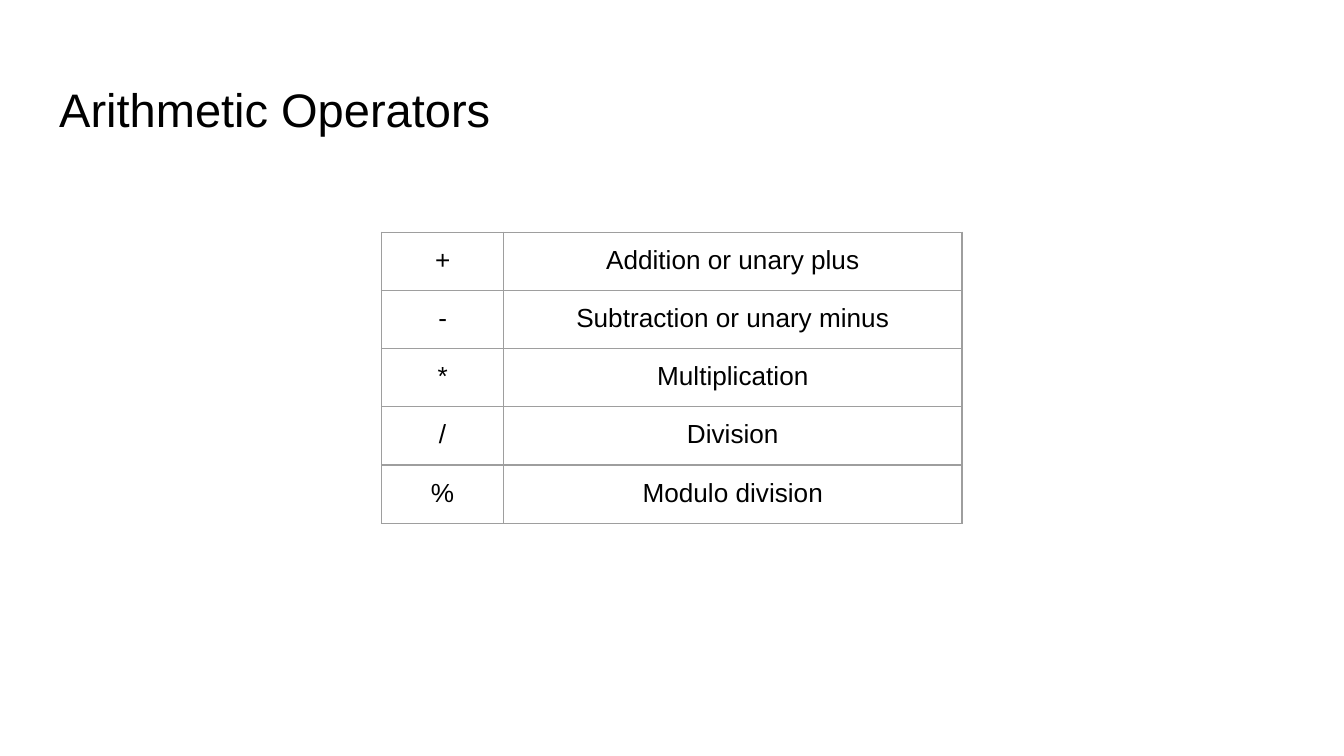
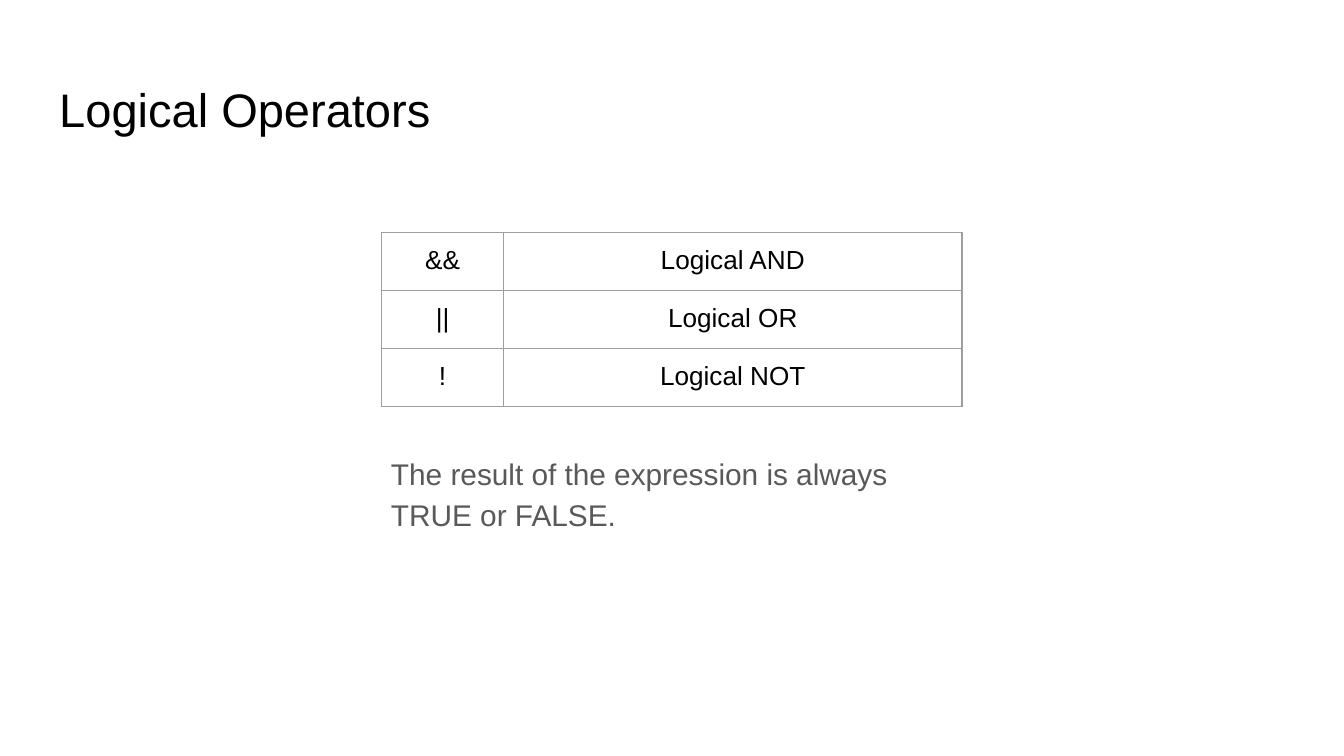
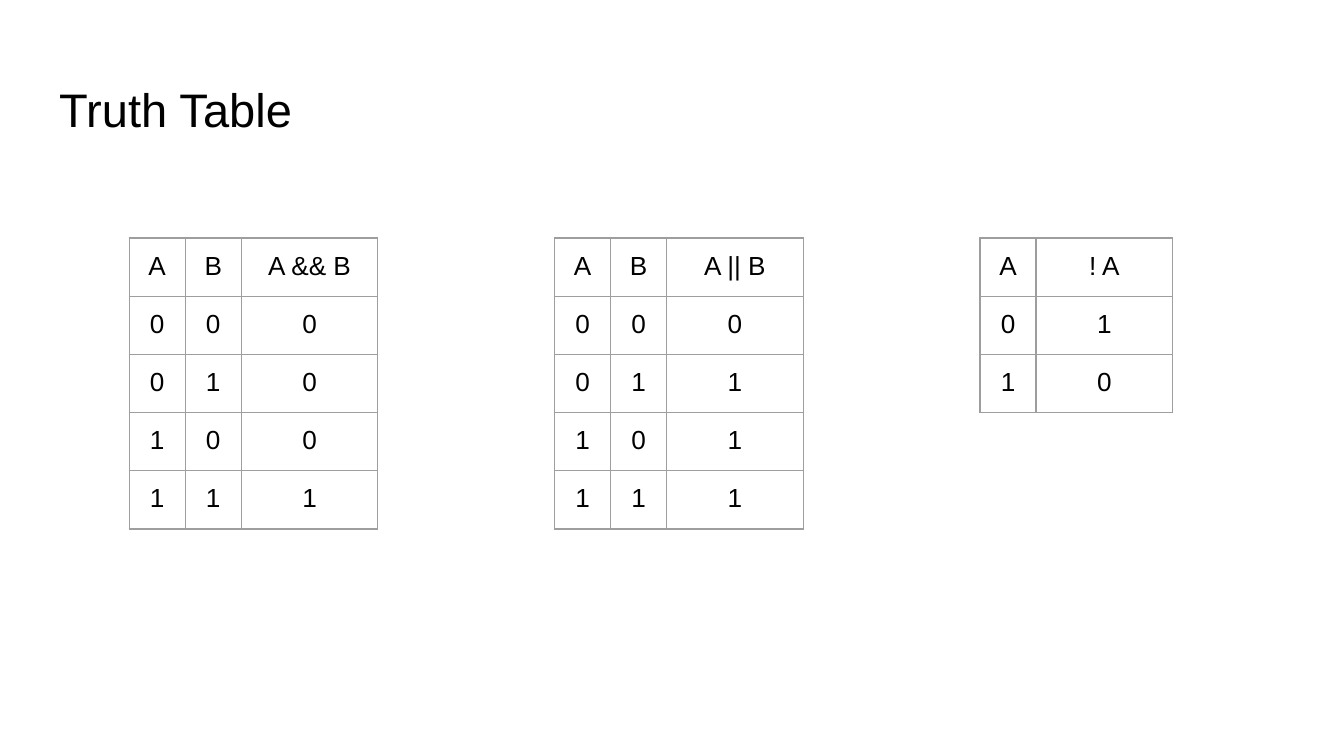
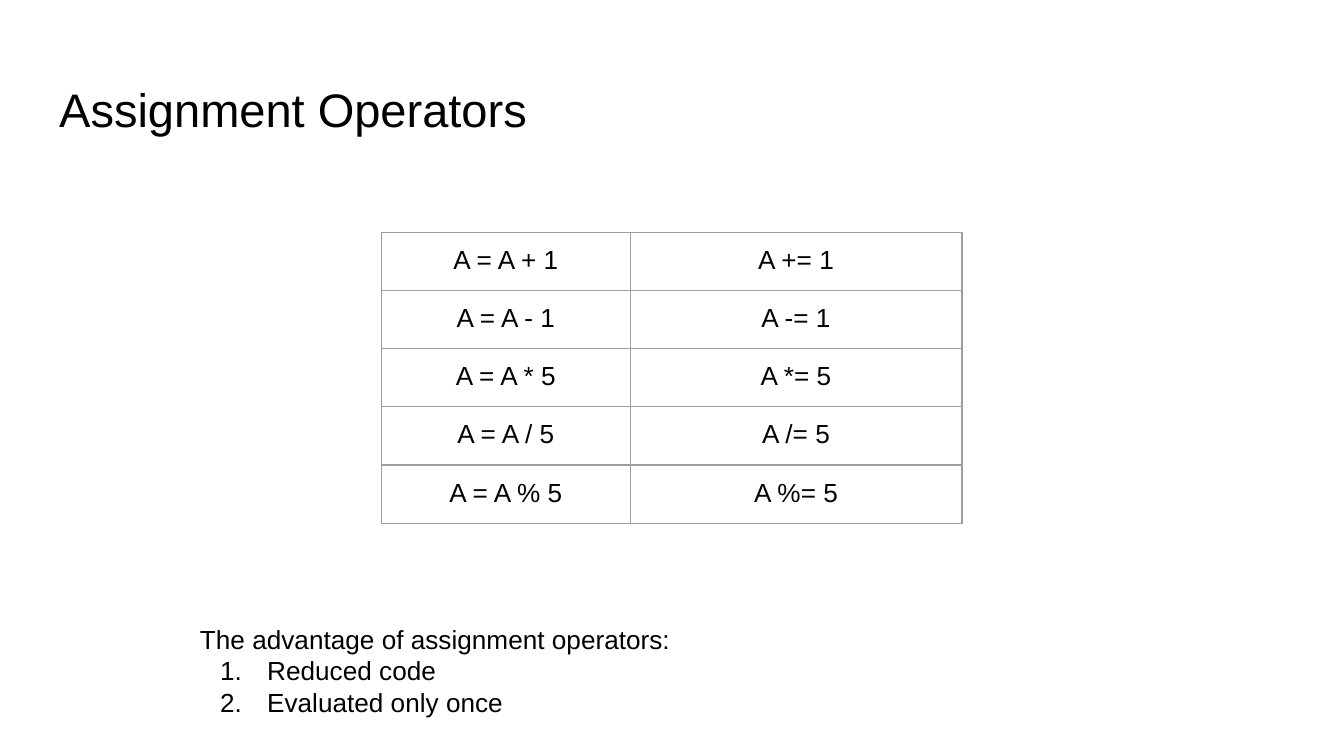
"""Build four slides on arithmetic, logical and assignment operators."""
from dataclasses import dataclass

from lxml.etree import SubElement
from pptx import Presentation
from pptx.dml.color import RGBColor as Color
from pptx.enum.text import MSO_ANCHOR as Anchor, MSO_AUTO_SIZE as AutoSize, PP_ALIGN as Align
from pptx.oxml.ns import qn
from pptx.util import Cm, Pt


@dataclass(frozen=True)
class Theme:
    font: str = "Arial"
    ink: str = "000000"
    muted: str = "595959"
    border: str = "9E9E9E"
    background: str = "FFFFFF"
    title_size: float = 25.2
    note_size: float = 16
    body_size: float = 14
    border_width: float = 0.75


THEME = Theme()
INSET = Cm(0.25)
ROW_HEIGHT = 1.1
TABLE_LEFT, TABLE_TOP = 7.21, 4.39
TRUTH_LEFT, TRUTH_TOP, TRUTH_PITCH = 2.44, 4.5, 8.04
INPUT_WIDTH, RESULT_WIDTH = 1.06, 2.58
OPERATOR_COLUMNS = (2.31, 8.66)
ASSIGNMENT_COLUMNS = (4.7, 6.27)
TITLE_BOX = (0.87, 1.24, 23.67, 1.59)
NOTE_BOX = (7.14, 8.26, 11.1, 9.5)
ADVANTAGE_BOX = (3.53, 11.53, 13.06, 2.31)

ARITHMETIC = [
    ("+", "Addition or unary plus"),
    ("-", "Subtraction or unary minus"),
    ("*", "Multiplication"),
    ("/", "Division"),
    ("%", "Modulo division"),
]
LOGICAL = [("&&", "Logical AND"), ("||", "Logical OR"), ("!", "Logical NOT")]
LOGICAL_NOTE = "The result of the expression is always TRUE or FALSE."
INPUT_PAIRS = [(0, 0), (0, 1), (1, 0), (1, 1)]
TRUTH_TABLES = [
    [("A", "B", "A && B")] + [(a, b, a & b) for a, b in INPUT_PAIRS],
    [("A", "B", "A || B")] + [(a, b, a | b) for a, b in INPUT_PAIRS],
    [("A", "! A")] + [(a, 1 - a) for a in (0, 1)],
]
ASSIGNMENTS = [
    (f"A = A {operator} {value}", f"A {operator}= {value}")
    for operator, value in [("+", 1), ("-", 1), ("*", 5), ("/", 5), ("%", 5)]
]
ADVANTAGE_LEAD = "The advantage of assignment operators:"
ADVANTAGES = ["Reduced code", "Evaluated only once"]


def apply(target, values):
    for name, value in values.items():
        setattr(target, name, value)


def write(paragraph, text, size=THEME.body_size, color=THEME.ink, **paragraph_format):
    apply(paragraph, paragraph_format)
    run = paragraph.add_run()
    run.text = str(text)
    apply(run.font, {"name": THEME.font, "size": Pt(size)})
    run.font.color.rgb = Color.from_string(color)


def add_solid_fill(parent, tag, color):
    SubElement(SubElement(parent, qn(tag)), qn("a:srgbClr"), val=color)


def number(paragraph):
    properties = paragraph._p.get_or_add_pPr()
    apply_indent = {"marL": Cm(1.27), "indent": Cm(-0.89)}
    for name, value in apply_indent.items():
        properties.set(name, str(value))
    add_solid_fill(properties, "a:buClr", THEME.ink)
    SubElement(properties, qn("a:buFont"), typeface=THEME.font)
    SubElement(properties, qn("a:buAutoNum"), type="arabicPeriod")


def add_text_box(slide, box, **frame_format):
    frame = slide.shapes.add_textbox(*map(Cm, box)).text_frame
    margins = {f"margin_{side}": INSET for side in ("left", "top", "right", "bottom")}
    apply(frame, {"word_wrap": True, **margins, **frame_format})
    return frame


def format_cell(cell):
    apply(cell, {f"margin_{side}": INSET for side in ("left", "top", "right", "bottom")})
    properties = cell._tc.get_or_add_tcPr()
    for side in "LRTB":
        line = SubElement(properties, qn(f"a:ln{side}"), w=str(Pt(THEME.border_width)))
        add_solid_fill(line, "a:solidFill", THEME.border)
    cell.fill.background()


def add_grid(slide, rows, left, top, widths):
    size = map(Cm, (left, top, sum(widths), ROW_HEIGHT * len(rows)))
    table = slide.shapes.add_table(len(rows), len(widths), *size).table
    apply(table, {"first_row": False, "horz_banding": False})
    for column, width in zip(table.columns, widths):
        column.width = Cm(width)
    for row, values in zip(table.rows, rows):
        row.height = Cm(ROW_HEIGHT)
        for cell, value in zip(row.cells, values):
            format_cell(cell)
            write(cell.text_frame.paragraphs[0], value, alignment=Align.CENTER)


def add_slide(presentation, title):
    slide = presentation.slides.add_slide(presentation.slide_layouts[6])
    fill = slide.background.fill
    fill.solid()
    fill.fore_color.rgb = Color.from_string(THEME.background)
    frame = add_text_box(slide, TITLE_BOX, vertical_anchor=Anchor.BOTTOM)
    write(frame.paragraphs[0], title, THEME.title_size)
    return slide


def main():
    presentation = Presentation()
    apply(presentation, {"slide_width": Cm(25.4), "slide_height": Cm(14.29)})

    slide = add_slide(presentation, "Arithmetic Operators")
    add_grid(slide, ARITHMETIC, TABLE_LEFT, TABLE_TOP, OPERATOR_COLUMNS)

    slide = add_slide(presentation, "Logical Operators")
    add_grid(slide, LOGICAL, TABLE_LEFT, TABLE_TOP, OPERATOR_COLUMNS)
    note = add_text_box(slide, NOTE_BOX)
    write(note.paragraphs[0], LOGICAL_NOTE, THEME.note_size, THEME.muted, line_spacing=1.15)

    slide = add_slide(presentation, "Truth Table")
    for index, rows in enumerate(TRUTH_TABLES):
        widths = [INPUT_WIDTH] * (len(rows[0]) - 1) + [RESULT_WIDTH]
        add_grid(slide, rows, TRUTH_LEFT + index * TRUTH_PITCH, TRUTH_TOP, widths)

    slide = add_slide(presentation, "Assignment Operators")
    add_grid(slide, ASSIGNMENTS, TABLE_LEFT, TABLE_TOP, ASSIGNMENT_COLUMNS)
    frame = add_text_box(slide, ADVANTAGE_BOX, auto_size=AutoSize.SHAPE_TO_FIT_TEXT)
    write(frame.paragraphs[0], ADVANTAGE_LEAD)
    for advantage in ADVANTAGES:
        paragraph = frame.add_paragraph()
        number(paragraph)
        write(paragraph, advantage)

    presentation.save("out.pptx")


if __name__ == "__main__":
    main()
